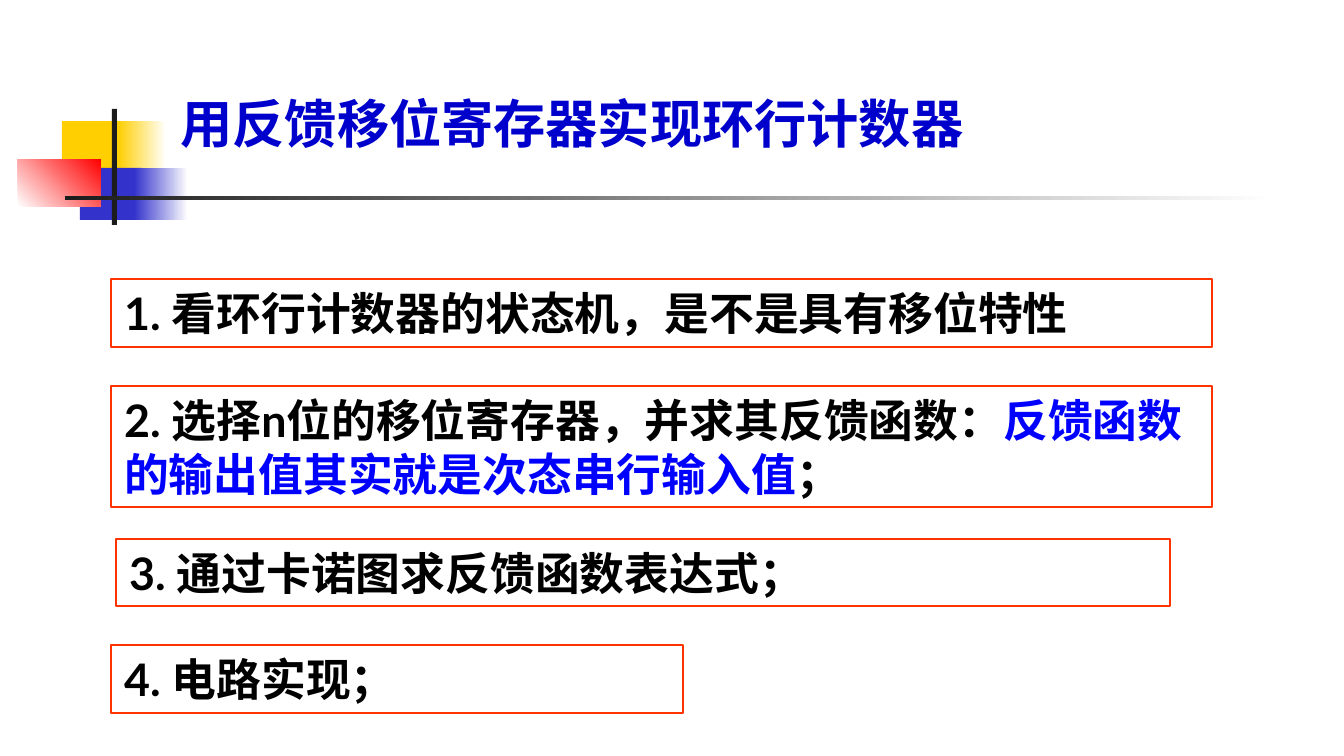
from pptx import Presentation
from pptx.dml.color import RGBColor
from pptx.enum.shapes import MSO_SHAPE
from pptx.enum.text import MSO_ANCHOR, MSO_AUTO_SIZE, PP_ALIGN
from pptx.util import Emu, Pt

EMU_PER_PX = 914400 / 134.4


def px(length):
    """Turn a length in px into EMU."""
    return Emu(round(length * EMU_PER_PX))


def colour(value):
    """Turn a hex string into a colour."""
    return RGBColor.from_string(value)


class SlideBuilder:
    """Hold the style and the current slide, and add elements to it."""

    font_name = "Lato"
    title_colour = "0000CC"
    text_colour = "000000"
    accent_colour = "0000FF"
    border_colour = "FF3300"
    title_size = 28
    body_size = 24

    def __init__(self, presentation):
        """Add a title-only slide to the presentation."""
        self.slide = presentation.slides.add_slide(presentation.slide_layouts[5])

    def rectangle(self, left, top, width, height):
        """Add a rectangle without shadow or line."""
        shape = self.slide.shapes.add_shape(
            MSO_SHAPE.RECTANGLE, px(left), px(top), px(width), px(height))
        shape.shadow.inherit = False
        shape.line.fill.background()
        return shape

    def block(self, bounds, fill):
        """Add a plainly filled rectangle."""
        shape = self.rectangle(*bounds)
        shape.fill.solid()
        shape.fill.fore_color.rgb = colour(fill)

    def fade(self, bounds, start, end, angle=0):
        """Add a rectangle that fades from one colour to another."""
        shape = self.rectangle(*bounds)
        shape.fill.gradient()
        shape.fill.gradient_angle = angle
        for stop, value in zip(shape.fill.gradient_stops, (start, end)):
            stop.color.rgb = colour(value)

    def style_run(self, run, size, value):
        """Format a run in bold."""
        run.font.name = self.font_name
        run.font.size = Pt(size)
        run.font.bold = True
        run.font.color.rgb = colour(value)

    def style_frame(self, text_frame, anchor):
        """Set wrapping, anchor and left alignment of a text frame."""
        text_frame.word_wrap = True
        text_frame.vertical_anchor = anchor
        text_frame.paragraphs[0].alignment = PP_ALIGN.LEFT

    def title(self, bounds, text):
        """Place and format the title placeholder."""
        title = self.slide.shapes.title
        title.left, title.top, title.width, title.height = map(px, bounds)
        title.text_frame.text = text
        title.text_frame.auto_size = MSO_AUTO_SIZE.NONE
        self.style_frame(title.text_frame, MSO_ANCHOR.TOP)
        self.style_run(title.text_frame.paragraphs[0].runs[0],
                       self.title_size, self.title_colour)

    def step(self, bounds, *parts):
        """Add a framed step whose every second part is accented."""
        shape = self.rectangle(*bounds)
        shape.fill.background()
        shape.line.color.rgb = colour(self.border_colour)
        shape.line.width = Pt(1)
        self.style_frame(shape.text_frame, MSO_ANCHOR.TOP)
        shape.text_frame.auto_size = MSO_AUTO_SIZE.SHAPE_TO_FIT_TEXT
        for index, part in enumerate(parts):
            run = shape.text_frame.paragraphs[0].add_run()
            run.text = part
            self.style_run(run, self.body_size,
                           self.accent_colour if index % 2 else self.text_colour)


def main():
    """Build the slide and save it."""
    presentation = Presentation()
    presentation.slide_width, presentation.slide_height = px(1344), px(756)
    builder = SlideBuilder(presentation)

    builder.block((62, 121, 64, 52), "FFCF01")
    builder.fade((118, 121, 48, 52), "FFCF01", "FFFFFF")
    builder.block((80, 168, 62, 52), "3333CC")
    builder.fade((134, 168, 54, 52), "3333CC", "FFFFFF")
    builder.fade((18, 159, 83, 48), "FFFFFF", "FF0000", 45)
    builder.block((112, 109, 5, 116), "1C1C1C")
    builder.fade((65, 196, 1210, 4), "1C1C1C", "FFFFFF")

    builder.title((167, 85, 1133, 112), "用反馈移位寄存器实现环行计数器")
    builder.step((111, 279, 1101, 68), "1. 看环行计数器的状态机，是不是具有移位特性")
    builder.step((111, 386, 1101, 121), "2. 选择n位的移位寄存器，并求其反馈函数：",
                 "反馈函数的输出值其实就是次态串行输入值", "；")
    builder.step((116, 539, 1054, 67), "3. 通过卡诺图求反馈函数表达式；")
    builder.step((111, 645, 572, 68), "4. 电路实现；")
    presentation.save("out.pptx")


if __name__ == "__main__":
    main()
